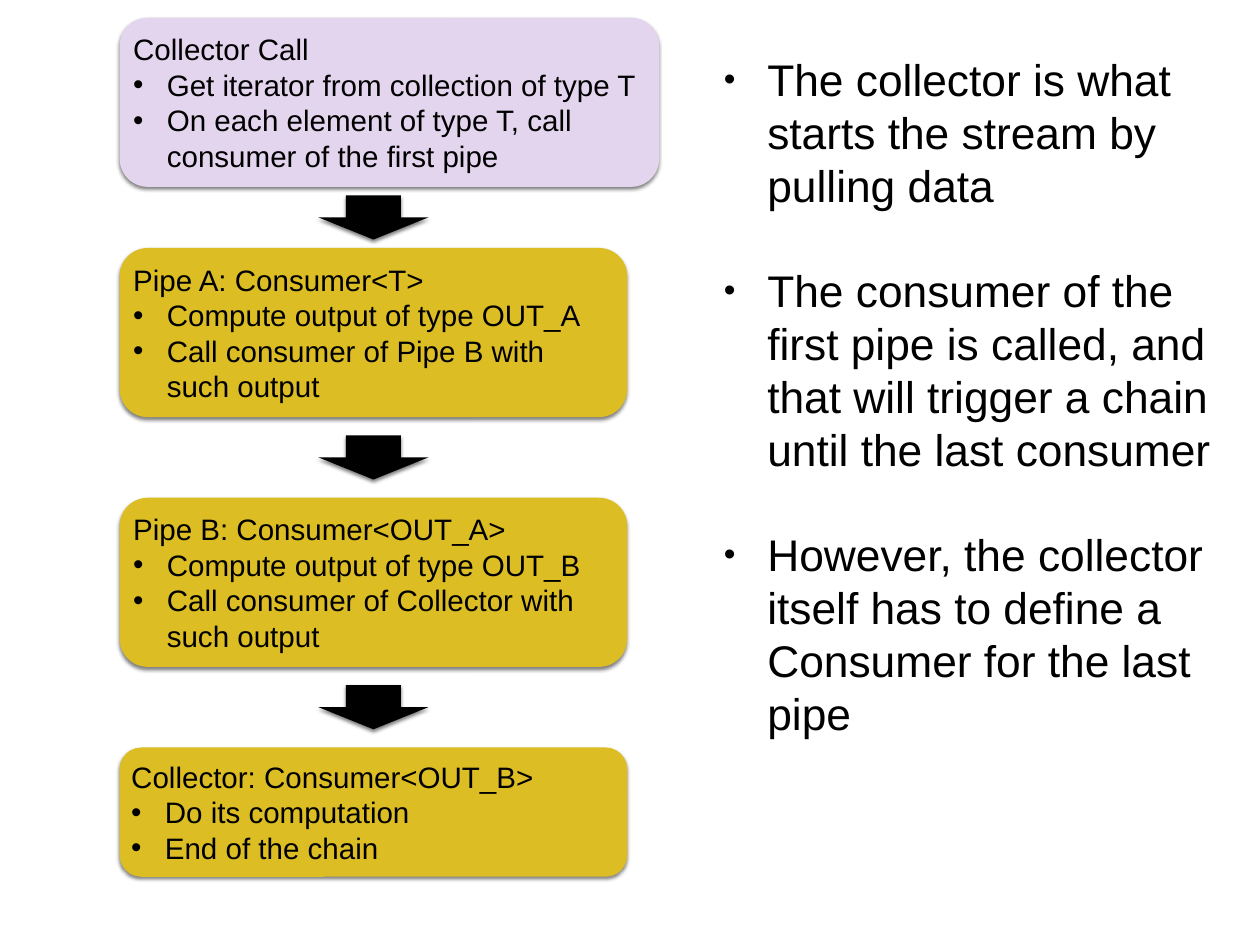
import dataclasses
import itertools
import pptx
import pptx.dml.color
import pptx.enum.shapes
import pptx.enum.text
import pptx.oxml.ns
import pptx.util
import lxml.etree

STEPS = [
    ("Collector Call",
     ["Get iterator from collection of type T",
      "On each element of type T, call consumer of the first pipe"]),
    ("Pipe A: Consumer<T>",
     ["Compute output of type OUT_A", "Call consumer of Pipe B with such output"]),
    ("Pipe B: Consumer<OUT_A>",
     ["Compute output of type OUT_B", "Call consumer of Collector with such output"]),
    ("Collector: Consumer<OUT_B>",
     ["Do its computation", "End of the chain"]),
]
EXPLANATION = [
    "The collector is what starts the stream by pulling data",
    "The consumer of the first pipe is called, and that will trigger a chain until the last consumer",
    "However, the collector itself has to define a Consumer for the last pipe",
]


@dataclasses.dataclass(frozen=True)
class Theme:
    font: str = "Arial"
    text: str = "000000"
    call: str = "E4D5EE"
    pipe: str = "DCBD23"
    arrow: str = "000000"
    shadow: str = "000000"
    step_size: int = 24
    body_size: int = 36
    body_gap: int = 42
    line_height: float = 1.2


THEME = Theme()
SLIDE_WIDTH, SLIDE_HEIGHT = 14.22, 10.67
FLOW_LEFT, FLOW_TOP = 1.35, 0.2
CALL_WIDTH, PIPE_WIDTH = 6.09, 5.73
HEIGHTS = [1.91, 1.91, 1.91, 1.46]
GAPS = [0.69, 0.91, 0.91]
ARROW_WIDTH, ARROW_HEIGHT = 1.24, 0.5
BODY_BOX = (8.11, 0.41, 5.82, 8.12)
INSET = 0.06
STEP_INDENT, BODY_INDENT = 0.38, 0.49
SHAPES = pptx.enum.shapes.MSO_SHAPE


def inches(*lengths):
    return [pptx.util.Inches(length) for length in lengths]


def add_child(parent, tag, **attributes):
    child = lxml.etree.SubElement(parent, pptx.oxml.ns.qn(tag))
    for name, value in attributes.items():
        child.set(name, str(value))
    return child


def prepare_frame(text_frame):
    text_frame.word_wrap = True
    text_frame.auto_size = pptx.enum.text.MSO_AUTO_SIZE.NONE
    text_frame.vertical_anchor = pptx.enum.text.MSO_ANCHOR.MIDDLE
    text_frame.margin_left, text_frame.margin_top = inches(INSET, INSET)
    text_frame.margin_right, text_frame.margin_bottom = inches(INSET, INSET)


def format_paragraph(paragraph, size, gap=0):
    paragraph.alignment = pptx.enum.text.PP_ALIGN.LEFT
    paragraph.line_spacing = pptx.util.Pt(size * THEME.line_height)
    paragraph.space_before = pptx.util.Pt(gap)
    for run in paragraph.runs:
        run.font.name = THEME.font
        run.font.size = pptx.util.Pt(size)
        run.font.color.rgb = pptx.dml.color.RGBColor.from_string(THEME.text)


def add_bullet(paragraph, indent, percent=100):
    properties = paragraph._p.get_or_add_pPr()
    offset = pptx.util.Inches(indent)
    properties.set("marL", str(offset))
    properties.set("indent", str(-offset))
    add_child(properties, "a:buSzPct", val=percent * 1000)
    add_child(properties, "a:buFont", typeface=THEME.font)
    add_child(properties, "a:buChar", char="•")


def add_flow_shape(slide, preset, box, color):
    shape = slide.shapes.add_shape(preset, *inches(*box))
    shape.fill.solid()
    shape.fill.fore_color.rgb = pptx.dml.color.RGBColor.from_string(color)
    shape.line.fill.background()
    shape.shadow.inherit = False
    effects = shape._element.spPr.find(pptx.oxml.ns.qn("a:effectLst"))
    shadow = add_child(effects, "a:outerShdw", blurRad=pptx.util.Pt(3),
                       dist=pptx.util.Pt(2), dir=90 * 60000, rotWithShape=0)
    shadow_color = add_child(shadow, "a:srgbClr", val=THEME.shadow)
    add_child(shadow_color, "a:alpha", val=50000)
    return shape


def add_step(slide, box, color, heading, bullets):
    shape = add_flow_shape(slide, SHAPES.ROUNDED_RECTANGLE, box, color)
    prepare_frame(shape.text_frame)
    shape.text_frame.text = "\n".join([heading, *bullets])
    for index, paragraph in enumerate(shape.text_frame.paragraphs):
        format_paragraph(paragraph, THEME.step_size)
        if index:
            add_bullet(paragraph, STEP_INDENT)


def add_flow(slide):
    pitches = [height + gap for height, gap in zip(HEIGHTS, GAPS)]
    tops = list(itertools.accumulate(pitches, initial=FLOW_TOP))
    for index, (heading, bullets) in enumerate(STEPS):
        width, color = (PIPE_WIDTH, THEME.pipe) if index else (CALL_WIDTH, THEME.call)
        add_step(slide, (FLOW_LEFT, tops[index], width, HEIGHTS[index]), color, heading, bullets)
    arrow_left = FLOW_LEFT + (PIPE_WIDTH - ARROW_WIDTH) / 2
    for next_top, gap in zip(tops[1:], GAPS):
        arrow_top = next_top - (gap + ARROW_HEIGHT) / 2
        add_flow_shape(slide, SHAPES.DOWN_ARROW,
                       (arrow_left, arrow_top, ARROW_WIDTH, ARROW_HEIGHT), THEME.arrow)


def fill_body(body):
    body.left, body.top, body.width, body.height = inches(*BODY_BOX)
    prepare_frame(body.text_frame)
    body.text_frame.text = "\n".join(EXPLANATION)
    for paragraph in body.text_frame.paragraphs:
        format_paragraph(paragraph, THEME.body_size, THEME.body_gap)
        add_bullet(paragraph, BODY_INDENT, 75)


def main():
    presentation = pptx.Presentation()
    presentation.slide_width, presentation.slide_height = inches(SLIDE_WIDTH, SLIDE_HEIGHT)
    slide = presentation.slides.add_slide(presentation.slide_layouts[1])
    title = slide.shapes.title._element
    title.getparent().remove(title)
    fill_body(slide.placeholders[1])
    add_flow(slide)
    presentation.save("out.pptx")


if __name__ == "__main__":
    main()
